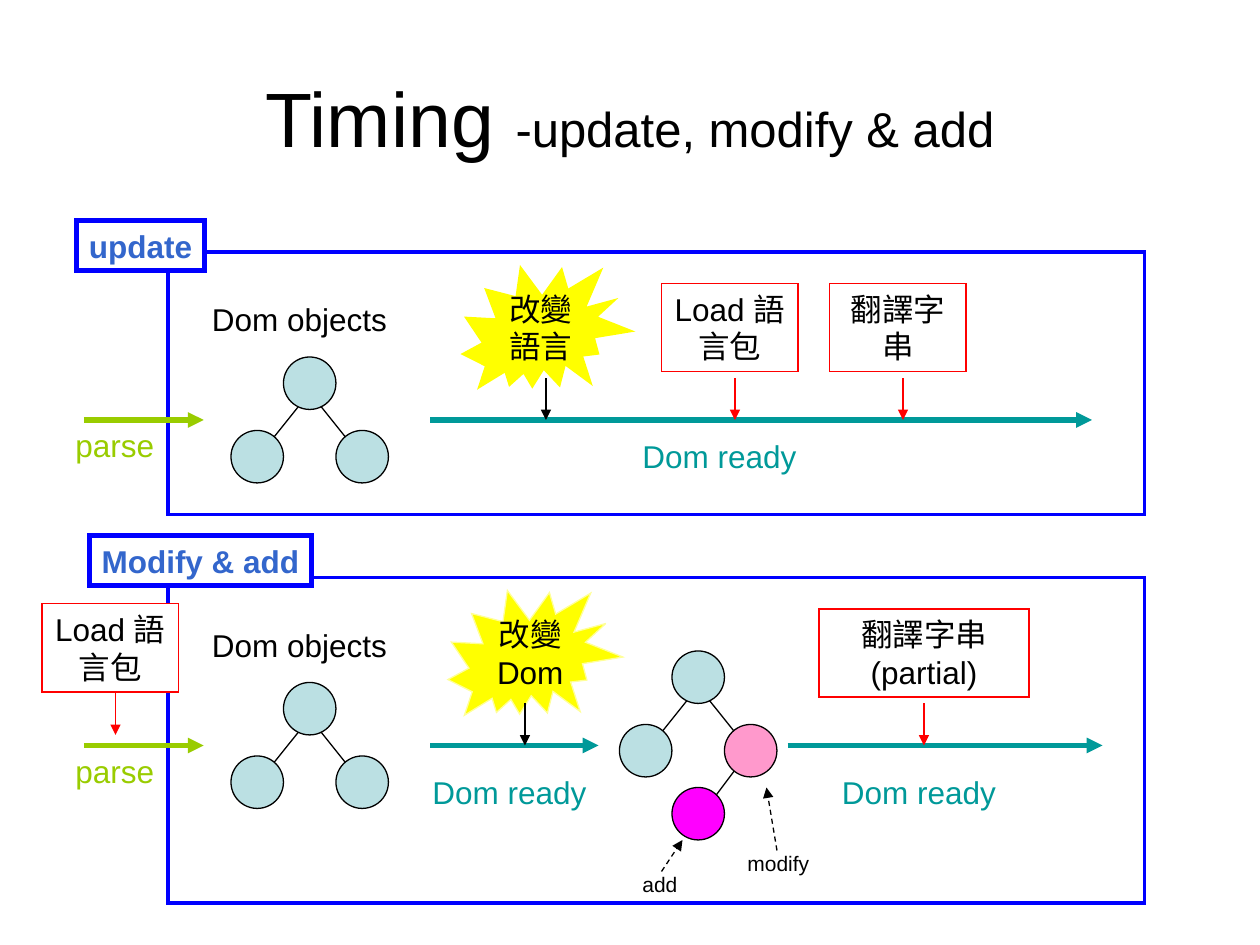
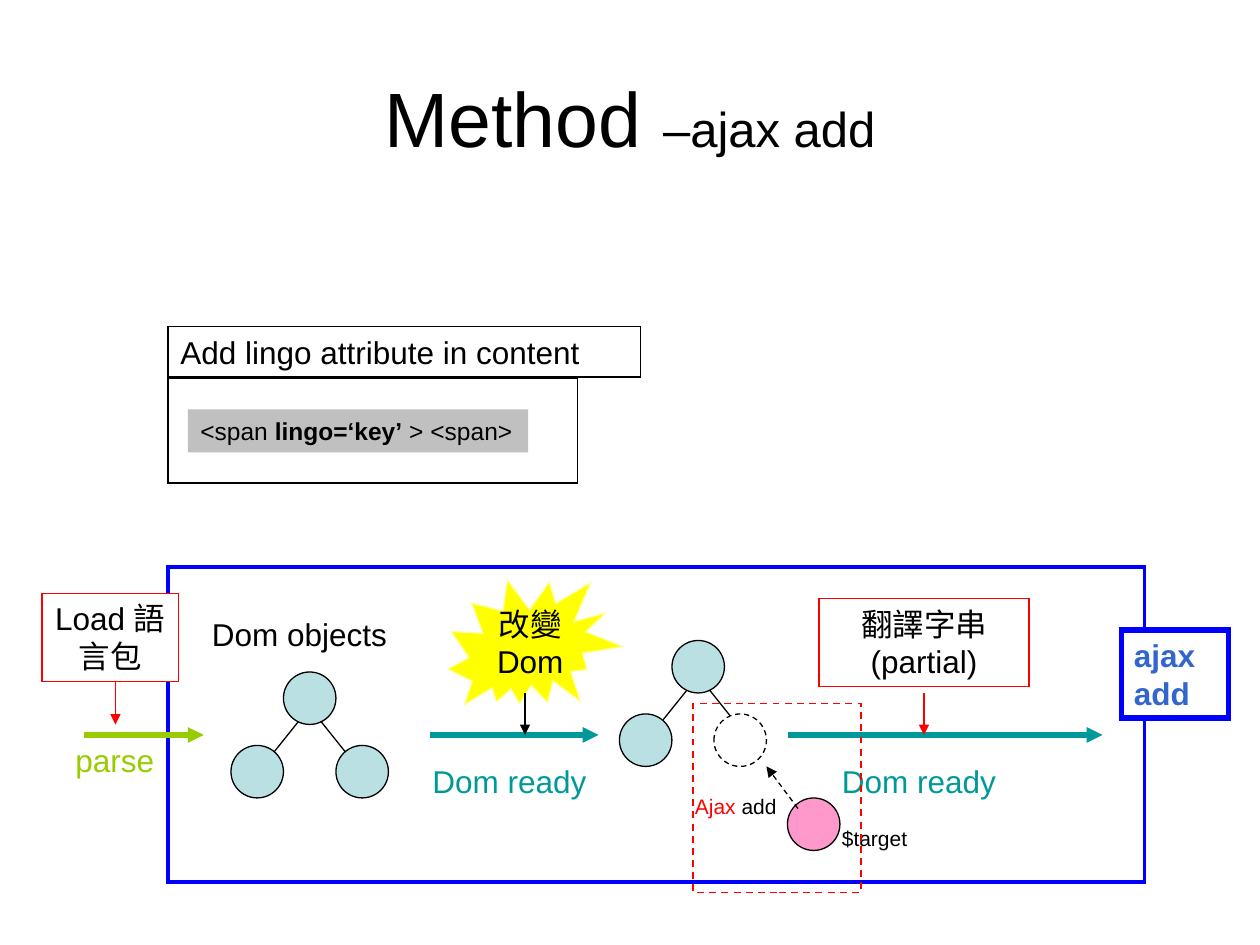
"""Build two slides on when a page's language gets switched."""
from dataclasses import dataclass
from typing import Optional

from lxml.etree import SubElement as Sub
from pptx import Presentation
from pptx.dml.color import RGBColor as Rgb
from pptx.enum.dml import MSO_LINE as Dash
from pptx.enum.shapes import MSO_CONNECTOR as Wire, MSO_SHAPE as Kind
from pptx.enum.text import MSO_ANCHOR as Anchor, MSO_AUTO_SIZE as Fit, PP_ALIGN as Align
from pptx.oxml.ns import qn
from pptx.slide import Slide
from pptx.util import Pt

PX = 7620


@dataclass(frozen=True)
class Theme:
    font: str = "Arial"
    ink: str = "000000"
    paper: str = "FFFFFF"
    blue: str = "0000FF"
    tag: str = "3366CC"
    red: str = "FF0000"
    teal: str = "009999"
    lime: str = "99CC00"
    node: str = "BBE0E3"
    pink: str = "FF99CC"
    fresh: str = "FF00FF"
    burst: str = "FFFF00"
    glow: str = "FFFF99"
    grey: str = "C0C0C0"
    head: int = 44
    sub: int = 28
    body: int = 18
    code: int = 14
    note: int = 12
    thin: float = 0.75
    frame: float = 2
    thick: float = 3


T = Theme()


@dataclass(frozen=True)
class Run:
    text: str
    size: int = T.body
    tone: str = T.ink
    bold: bool = False


@dataclass(frozen=True)
class Box:
    x: int
    y: int
    w: int
    h: int
    runs: tuple[Run, ...] = ()
    fill: Optional[str] = None
    edge: Optional[str] = None
    width: float = T.thin
    dash: bool = False
    kind: Kind = Kind.RECTANGLE
    turn: float = 0
    align: Align = Align.LEFT
    anchor: Anchor = Anchor.TOP
    wrap: bool = True
    grow: bool = True


@dataclass(frozen=True)
class Line:
    x1: int
    y1: int
    x2: int
    y2: int
    tone: str = T.ink
    width: float = T.thin
    tip: bool = True
    dash: bool = False


@dataclass(frozen=True)
class Burst:
    x: int
    text_x: int
    tip_x: int
    text: str
    edge: Optional[str] = T.glow


@dataclass(frozen=True)
class Rail:
    start: int
    end: int
    text_x: int
    drop: int = 20


@dataclass(frozen=True)
class Step:
    x: int
    w: int
    tip_x: int
    text: str


@dataclass(frozen=True)
class Lane:
    y: int
    tall: int
    burst: Burst
    rails: tuple[Rail, ...]
    steps: tuple[Step, ...]


def draw_box(slide: Slide, box: Box) -> None:
    place = [v * PX for v in (box.x, box.y, box.w, box.h)]
    if box.fill or box.edge:
        shape = slide.shapes.add_shape(box.kind, *place)
        shape.shadow.inherit = False
    else:
        shape = slide.shapes.add_textbox(*place)
    shape.rotation = box.turn
    if box.fill:
        shape.fill.solid()
        shape.fill.fore_color.rgb = Rgb.from_string(box.fill)
    else:
        shape.fill.background()
    if box.edge:
        shape.line.color.rgb = Rgb.from_string(box.edge)
        shape.line.width = Pt(box.width)
        if box.dash:
            shape.line.dash_style = Dash.DASH
        Sub(shape.line._get_or_add_ln(), qn("a:miter"), lim="800000")
    else:
        shape.line.fill.background()
    if box.runs:
        frame = shape.text_frame
        frame.word_wrap = box.wrap
        frame.vertical_anchor = box.anchor
        frame.auto_size = Fit.SHAPE_TO_FIT_TEXT if box.grow else Fit.NONE
        para = frame.paragraphs[0]
        para.alignment = box.align
        for part in box.runs:
            run = para.add_run()
            run.text = part.text
            run.font.name = T.font
            run.font.size = Pt(part.size)
            run.font.bold = part.bold
            run.font.color.rgb = Rgb.from_string(part.tone)


def draw_line(slide: Slide, line: Line) -> None:
    ends = [v * PX for v in (line.x1, line.y1, line.x2, line.y2)]
    wire = slide.shapes.add_connector(Wire.STRAIGHT, *ends)
    wire.line.color.rgb = Rgb.from_string(line.tone)
    wire.line.width = Pt(line.width)
    if line.dash:
        wire.line.dash_style = Dash.DASH
    if line.tip:
        Sub(wire.line._get_or_add_ln(), qn("a:tailEnd"), type="triangle")
    Sub(wire._element.spPr, qn("a:effectLst"))


def draw_label(slide: Slide, x: int, y: int, w: int, *runs: Run) -> None:
    tall = 48 if runs[0].size == T.body else 36
    draw_box(slide, Box(x, y, w, tall, runs))


def draw_title(slide: Slide, head: str, sub: str) -> None:
    runs = (Run(head, T.head), Run(sub, T.sub))
    draw_box(slide, Box(60, 36, 1080, 150, runs, align=Align.CENTER,
                        anchor=Anchor.MIDDLE, grow=False))


def draw_tag(slide: Slide, x: int, y: int, w: int, h: int, text: str,
             wrap: bool = False) -> None:
    runs = (Run(text, tone=T.tag, bold=True),)
    draw_box(slide, Box(x, y, w, h, runs, T.paper, T.blue, T.thick, wrap=wrap))


def draw_node(slide: Slide, x: int, y: int, fill: str = T.node,
              dash: bool = False) -> None:
    draw_box(slide, Box(x, y, 50, 50, fill=fill, edge=T.ink, dash=dash, kind=Kind.OVAL))


def draw_tree(slide: Slide, x: int, y: int, right: Optional[str] = T.node) -> None:
    for start, end in ((20, -20), (30, 70)):
        draw_line(slide, Line(x + start, y + 40, x + end, y + 90, tip=False))
    draw_node(slide, x - 50, y + 70)
    if right:
        draw_node(slide, x + 50, y + 70, right)
    draw_node(slide, x, y)


def draw_step(slide: Slide, x: int, y: int, w: int, text: str,
              fill: Optional[str] = None) -> None:
    draw_box(slide, Box(x, y, w, 84, (Run(text),), fill, T.red, align=Align.CENTER))


def draw_burst(slide: Slide, burst: Burst, y: int) -> None:
    draw_box(slide, Box(burst.x, y - 160, 158, 151, fill=T.burst, edge=burst.edge,
                        kind=Kind.EXPLOSION2, turn=20.4))
    draw_box(slide, Box(burst.text_x, y - 130, 90, 84, (Run(burst.text),),
                        align=Align.CENTER))
    draw_line(slide, Line(burst.tip_x, y - 40, burst.tip_x, y))


def draw_lane(slide: Slide, lane: Lane) -> None:
    y = lane.y
    draw_box(slide, Box(160, y - 160, 930, lane.tall, edge=T.blue, width=T.frame))
    draw_label(slide, 190, y - 120, 230, Run("Dom objects"))
    draw_tree(slide, 270, y - 60)
    draw_line(slide, Line(80, y, 194, y, T.lime, T.thick))
    draw_label(slide, 60, y, 120, Run("parse", tone=T.lime))
    for rail in lane.rails:
        draw_line(slide, Line(rail.start, y, rail.end, y, T.teal, T.thick))
        draw_label(slide, rail.text_x, y + rail.drop, 180, Run("Dom ready", tone=T.teal))
    draw_burst(slide, lane.burst, y)
    for step in lane.steps:
        draw_step(slide, step.x, y - 130, step.w, step.text)
        draw_line(slide, Line(step.tip_x, y - 40, step.tip_x, y, T.red))


def draw_split(slide: Slide, y: int, tall: int, right: Optional[str]) -> None:
    draw_lane(slide, Lane(
        y, tall, Burst(430, 460, 500, "改變Dom"),
        (Rail(410, 570, 400), Rail(750, 1050, 790)),
        (Step(780, 200, 880, "翻譯字串 (partial)"),)))
    draw_tree(slide, 640, y - 90, right)
    draw_step(slide, 40, y - 135, 130, "Load 語言包", T.paper)
    draw_line(slide, Line(110, y - 50, 110, y - 10, T.red))


def draw_timing(slide: Slide) -> None:
    draw_title(slide, "Timing ", "-update, modify & add")
    draw_lane(slide, Lane(
        400, 250, Burst(442, 470, 520, "改變語言", None),
        (Rail(410, 1040, 600, 10),),
        (Step(630, 130, 700, "Load 語言包"), Step(790, 130, 860, "翻譯字串"))))
    draw_line(slide, Line(710, 720, 680, 760, tip=False))
    draw_split(slide, 710, 310, T.pink)
    draw_node(slide, 640, 750, T.fresh)
    draw_label(slide, 600, 824, 100, Run("add", T.note))
    draw_label(slide, 700, 804, 100, Run("modify", T.note))
    draw_line(slide, Line(630, 830, 650, 800, dash=True))
    draw_line(slide, Line(740, 810, 730, 750, dash=True))
    draw_tag(slide, 73, 210, 122, 48, "update")
    draw_tag(slide, 85, 510, 212, 48, "Modify & add")


def draw_method(slide: Slide) -> None:
    draw_title(slide, "Method ", "–ajax add")
    draw_split(slide, 700, 300, None)
    draw_node(slide, 750, 760, T.pink)
    draw_label(slide, 650, 750, 150, Run("Ajax", T.note, T.red), Run(" add", T.note))
    draw_line(slide, Line(760, 770, 730, 730, dash=True))
    draw_label(slide, 790, 780, 120, Run("$target", T.note))
    draw_node(slide, 680, 680, T.paper, dash=True)
    draw_box(slide, Box(660, 670, 160, 180, edge=T.red, width=1, dash=True))
    draw_box(slide, Box(160, 360, 390, 100, fill=T.paper, edge=T.ink))
    code = (Run("<span ", T.code), Run("lingo=‘key’", T.code, bold=True),
            Run(" > <span>", T.code))
    draw_box(slide, Box(179, 390, 324, 41, code, T.grey, wrap=False))
    draw_box(slide, Box(160, 311, 450, 48, (Run("Add lingo attribute in content"),),
                        T.paper, T.ink))
    draw_tag(slide, 1068, 600, 102, 84, "ajax add", wrap=True)


def main() -> None:
    deck = Presentation()
    deck.slide_width, deck.slide_height = 1200 * PX, 900 * PX
    for draw in (draw_timing, draw_method):
        draw(deck.slides.add_slide(deck.slide_layouts[6]))
    deck.save("out.pptx")


if __name__ == "__main__":
    main()
